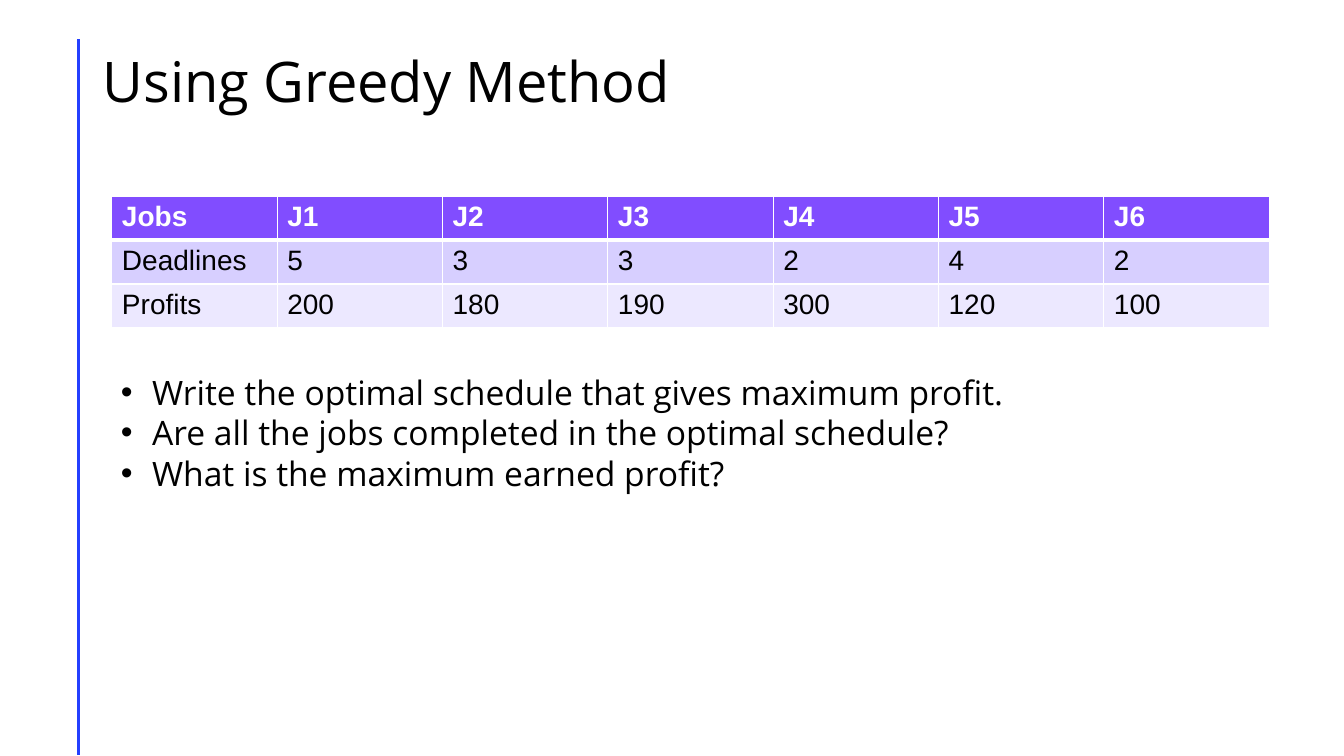
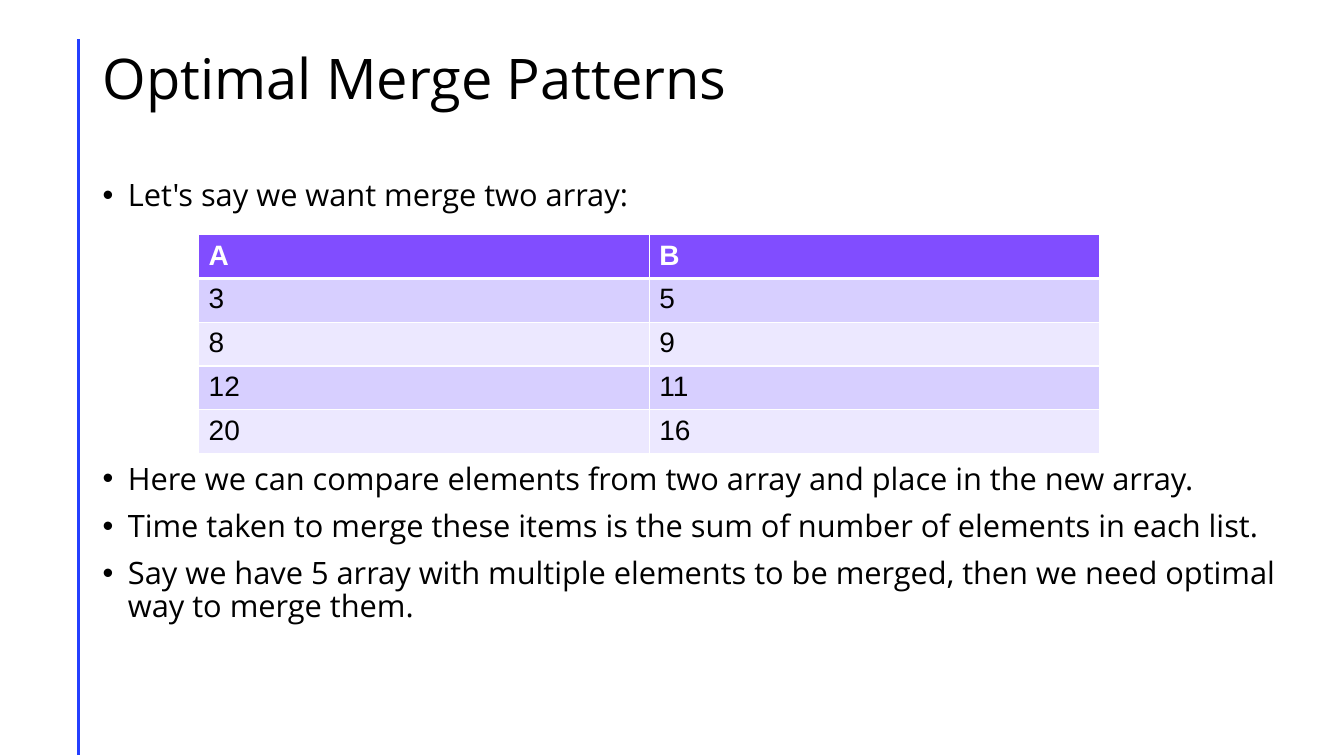
from lxml.etree import SubElement
from pptx import Presentation
from pptx.dml.color import RGBColor
from pptx.enum.shapes import MSO_CONNECTOR
from pptx.enum.text import MSO_ANCHOR
from pptx.oxml.ns import qn
from pptx.util import Inches, Pt

COLORS = {
    "text": "000000",
    "white": "FFFFFF",
    "rule": "243FFF",
    "header": "814DFF",
    "band_dark": "D7CFFF",
    "band_light": "ECE8FF",
}
TEXT_FONT = "Open Sans"
TABLE_FONT = "Arial"
ROW_HEIGHT = 0.41


def color(name):
    return RGBColor.from_string(COLORS[name])


def style_paragraph(para, font, size, color_name="text", bold=False):
    for span in para.runs:
        span.font.name = font
        span.font.size = Pt(size)
        span.font.bold = bold
        span.font.color.rgb = color(color_name)


def add_text_frame(page, left, top, width, height):
    box = page.shapes.add_textbox(Inches(left), Inches(top), Inches(width), Inches(height))
    box.text_frame.word_wrap = True
    return box.text_frame


def add_rule(page):
    rule = page.shapes.add_connector(
        MSO_CONNECTOR.STRAIGHT, Inches(0.78), Inches(0.39), Inches(0.78), Inches(7.49)
    )
    rule.line.color.rgb = color("rule")
    rule.line.width = Pt(2)
    SubElement(rule._element.spPr, qn("a:effectLst"))


def add_title(page, title, height):
    frame = add_text_frame(page, 0.92, 0.4, 11.5, height)
    frame.vertical_anchor = MSO_ANCHOR.MIDDLE
    frame.text = title
    para = frame.paragraphs[0]
    para.line_spacing = 0.9
    style_paragraph(para, TEXT_FONT, 40)


def add_page(deck, title, title_height):
    page = deck.slides.add_slide(deck.slide_layouts[6])
    add_rule(page)
    add_title(page, title, title_height)
    return page


def add_bullet(para, indent):
    properties = para._p.get_or_add_pPr()
    properties.set("marL", str(Inches(indent)))
    properties.set("indent", str(-Inches(indent)))
    bullet_color = SubElement(properties, qn("a:buClr"))
    SubElement(bullet_color, qn("a:srgbClr"), val=COLORS["text"])
    SubElement(properties, qn("a:buFont"), typeface="Arial")
    SubElement(properties, qn("a:buChar"), char="•")


def add_bullets(page, items, place, size, indent, line_spacing=1.0, gap=0):
    frame = add_text_frame(page, *place)
    frame.text = "\n".join(items)
    for para in frame.paragraphs:
        para.line_spacing = line_spacing
        para.space_after = Pt(gap)
        add_bullet(para, indent)
        style_paragraph(para, TEXT_FONT, size)


def add_borders(cell, bottom, top):
    properties = cell._tc.get_or_add_tcPr()
    for side, width in (("L", 1), ("R", 1), ("T", top), ("B", bottom)):
        line = SubElement(properties, qn(f"a:ln{side}"), w=str(Pt(width)))
        fill = SubElement(line, qn("a:solidFill"))
        SubElement(fill, qn("a:srgbClr"), val=COLORS["white"])


def style_cell(cell, row):
    header = row == 0
    add_borders(cell, bottom=3 if header else 1, top=3 if row == 1 else 1)
    band = "band_dark" if row % 2 else "band_light"
    cell.fill.solid()
    cell.fill.fore_color.rgb = color("header" if header else band)
    style_paragraph(
        cell.text_frame.paragraphs[0], TABLE_FONT, 20, "white" if header else "text", header
    )


def add_data_table(page, rows, left, top, column_width):
    columns = len(rows[0])
    table = page.shapes.add_table(
        len(rows), columns, Inches(left), Inches(top),
        Inches(column_width * columns), Inches(ROW_HEIGHT * len(rows)),
    ).table
    for column in table.columns:
        column.width = Inches(column_width)
    for row, values in enumerate(rows):
        table.rows[row].height = Inches(ROW_HEIGHT)
        for column, value in enumerate(values):
            cell = table.cell(row, column)
            cell.text = value
            style_cell(cell, row)


def build_greedy_page(deck):
    page = add_page(deck, "Using Greedy Method", 0.87)
    jobs = [
        ["Jobs", "J1", "J2", "J3", "J4", "J5", "J6"],
        ["Deadlines", "5", "3", "3", "2", "4", "2"],
        ["Profits", "200", "180", "190", "300", "120", "100"],
    ]
    add_data_table(page, jobs, 1.11, 1.95, 1.64)
    questions = [
        "Write the optimal schedule that gives maximum profit.",
        "Are all the jobs completed in the optimal schedule?",
        "What is the maximum earned profit?",
    ]
    add_bullets(page, questions, (1.1, 3.64, 11.35, 1.72), 24, 0.31)


def build_merge_page(deck):
    page = add_page(deck, "Optimal Merge Patterns", 0.81)
    intro = ["Let's say we want merge two array:"]
    conclusions = [
        "Here we can compare elements from two array and place in the new array.",
        "Time taken to merge these items is the sum of number of elements in each list.",
        "Say we have 5 array with multiple elements to be merged, "
        "then we need optimal way to merge them.",
    ]
    for items, top, height in ((intro, 1.74, 0.5), (conclusions, 4.55, 2.8)):
        add_bullets(page, items, (0.92, top, 12.19, height), 22, 0.25, 0.9, 10)
    arrays = [["A", "B"], ["3", "5"], ["8", "9"], ["12", "11"], ["20", "16"]]
    add_data_table(page, arrays, 1.97, 2.33, 4.47)


def main():
    deck = Presentation()
    deck.slide_width = Inches(13.33)
    deck.slide_height = Inches(7.5)
    build_greedy_page(deck)
    build_merge_page(deck)
    deck.save("out.pptx")


if __name__ == "__main__":
    main()
